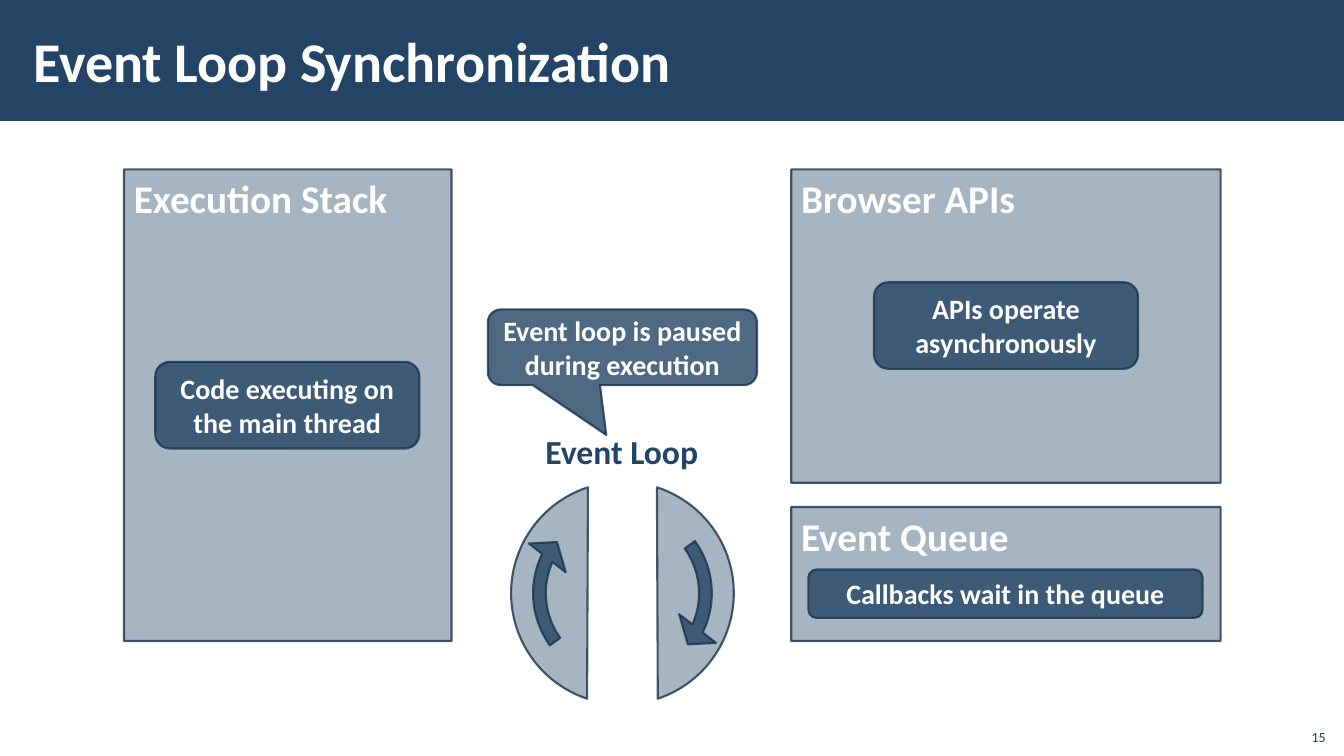
from dataclasses import dataclass

from lxml import etree
from pptx import Presentation
from pptx.dml.color import RGBColor
from pptx.enum.shapes import MSO_SHAPE
from pptx.enum.text import MSO_ANCHOR, MSO_AUTO_SIZE, PP_ALIGN
from pptx.oxml.ns import qn
from pptx.util import Inches, Pt

RECT, ROUND = MSO_SHAPE.RECTANGLE, MSO_SHAPE.ROUNDED_RECTANGLE
CALL = MSO_SHAPE.ROUNDED_RECTANGULAR_CALLOUT
CHORD, ARROW = MSO_SHAPE.CHORD, MSO_SHAPE.CIRCULAR_ARROW
LEFT, MID, RIGHT = PP_ALIGN.LEFT, PP_ALIGN.CENTER, PP_ALIGN.RIGHT
TOP, CENTER, BOTTOM = MSO_ANCHOR.TOP, MSO_ANCHOR.MIDDLE, MSO_ANCHOR.BOTTOM

HUES = {"navy": "234465", "edge": "1A334C", "white": "FFFFFF"}
FONT = "Calibri"
COLS, ROWS = 80, 45
PALE, DEEP = 40, 80  # opacity in percent

deck = Presentation()
deck.slide_width, deck.slide_height = Inches(13.33), Inches(7.5)


@dataclass
class Box:
    """Left, top, width and height in grid columns and rows."""
    x: float
    y: float
    w: float
    h: float

    def place(self) -> tuple[int, int, int, int]:
        col, row = deck.slide_width / COLS, deck.slide_height / ROWS
        return (round(self.x * col), round(self.y * row),
                round(self.w * col), round(self.h * row))


@dataclass
class Part:
    kind: int
    box: Box
    alpha: int
    text: str = ""
    adjust: tuple[float, ...] = ()
    turn: int = 0
    flip: bool = False


def hue(name: str) -> RGBColor:
    return RGBColor.from_string(HUES[name])


def write(frame, text: str, size: int, color: str, align: int,
          anchor: int, bold: bool = True) -> None:
    frame.text = text
    frame.word_wrap = True
    frame.vertical_anchor = anchor
    line = frame.paragraphs[0]
    line.alignment = align
    font = line.runs[0].font
    font.name, font.size, font.bold = FONT, Pt(size), bold
    font.color.rgb = hue(color)


def draw(shapes, part: Part) -> None:
    shape = shapes.add_shape(part.kind, *part.box.place())
    shape.shadow.inherit = False
    shape.rotation = part.turn
    for i, value in enumerate(part.adjust):
        shape.adjustments[i] = value
    shape.fill.solid()
    shape.fill.fore_color.rgb = hue("navy")
    shape.line.color.rgb = hue("edge")
    shape.line.width = Pt(1.5)
    # Fill colour comes first, line colour second
    tints = list(shape.element.spPr.iter(qn("a:srgbClr")))
    for tint, alpha in zip(tints, (part.alpha, DEEP)):
        etree.SubElement(tint, qn("a:alpha")).set("val", str(alpha * 1000))
    if part.flip:
        shape.element.spPr.get_or_add_xfrm().set("flipV", "1")
    if part.text:
        panel = part.kind == RECT
        write(shape.text_frame, part.text, 28 if panel else 20, "white",
              LEFT if panel else MID, TOP if panel else CENTER)


def note(shapes, box: Box):
    return shapes.add_textbox(*box.place()).text_frame


def pad(frame, side: float, edge: float) -> None:
    frame.margin_left = frame.margin_right = Inches(side)
    frame.margin_top = frame.margin_bottom = Inches(edge)


PANELS = [
    Part(RECT, Box(7.38, 10.08, 19.5, 28.08), PALE, "Execution Stack"),
    Part(RECT, Box(47.1, 10.08, 25.56, 18.66), PALE, "Browser APIs"),
    Part(RECT, Box(47.1, 30.18, 25.56, 7.98), PALE, "Event Queue"),
]
DISC, RING = Box(30.42, 28.68, 13.26, 13.26), Box(30.72, 28.98, 12.66, 12.66)
CUT = (11.11, 97.18)
SWEEP = (0.06, 7.73, 123.09, 86.55, 0.11)
LOOP = [
    Part(CHORD, DISC, PALE, adjust=CUT, turn=90),
    Part(CHORD, DISC, PALE, adjust=CUT, turn=90, flip=True),
    Part(ARROW, RING, DEEP, adjust=SWEEP, turn=180),
    Part(ARROW, RING, DEEP, adjust=SWEEP),
]
NOTES = [
    Part(CALL, Box(29.04, 18.42, 16.02, 4.5), DEEP,
         "Event loop is paused during execution", (-0.06, 1.16, 0.17)),
    Part(ROUND, Box(9.24, 21.54, 15.72, 5.16), DEEP,
         "Code executing on the main thread"),
    Part(ROUND, Box(52.02, 16.8, 15.72, 5.16), DEEP,
         "APIs operate asynchronously"),
    Part(ROUND, Box(48.12, 33.9, 23.46, 2.88), DEEP,
         "Callbacks wait in the queue"),
]


def main() -> None:
    slide = deck.slides.add_slide(deck.slide_layouts[5])
    shapes = slide.shapes

    # Title on its band
    title = shapes.title
    title.left, title.top, title.width, title.height = Box(
        1.26, 0.66, 63.78, 5.82).place()
    write(title.text_frame, "Event Loop Synchronization", 40, "white",
          LEFT, CENTER)
    title.text_frame.auto_size = MSO_AUTO_SIZE.NONE
    pad(title.text_frame, 0.12, 0.04)
    band = shapes.add_shape(RECT, *Box(0, 0, COLS, 7.2).place())
    band.shadow.inherit = False
    band.fill.solid()
    band.fill.fore_color.rgb = hue("navy")
    band.line.fill.background()
    title.element.addprevious(band.element)

    # Page number
    write(note(shapes, Box(77.1, 42.72, 2.4, 1.92)), "15", 10, "navy",
          RIGHT, BOTTOM, bold=False)

    # Panels
    for part in PANELS:
        draw(shapes, part)

    # Event loop
    label = note(shapes, Box(31.5, 24.72, 11.1, 3.96))
    write(label, "Event Loop", 24, "navy", LEFT, TOP)
    label.word_wrap = False
    label.auto_size = MSO_AUTO_SIZE.SHAPE_TO_FIT_TEXT
    label.paragraphs[0].line_spacing = 1.1
    pad(label, 0.16, 0.12)
    group = shapes.add_group_shape()
    for part in LOOP:
        draw(group.shapes, part)

    # Callout and notes
    for part in NOTES:
        draw(shapes, part)

    deck.save("out.pptx")


if __name__ == "__main__":
    main()
